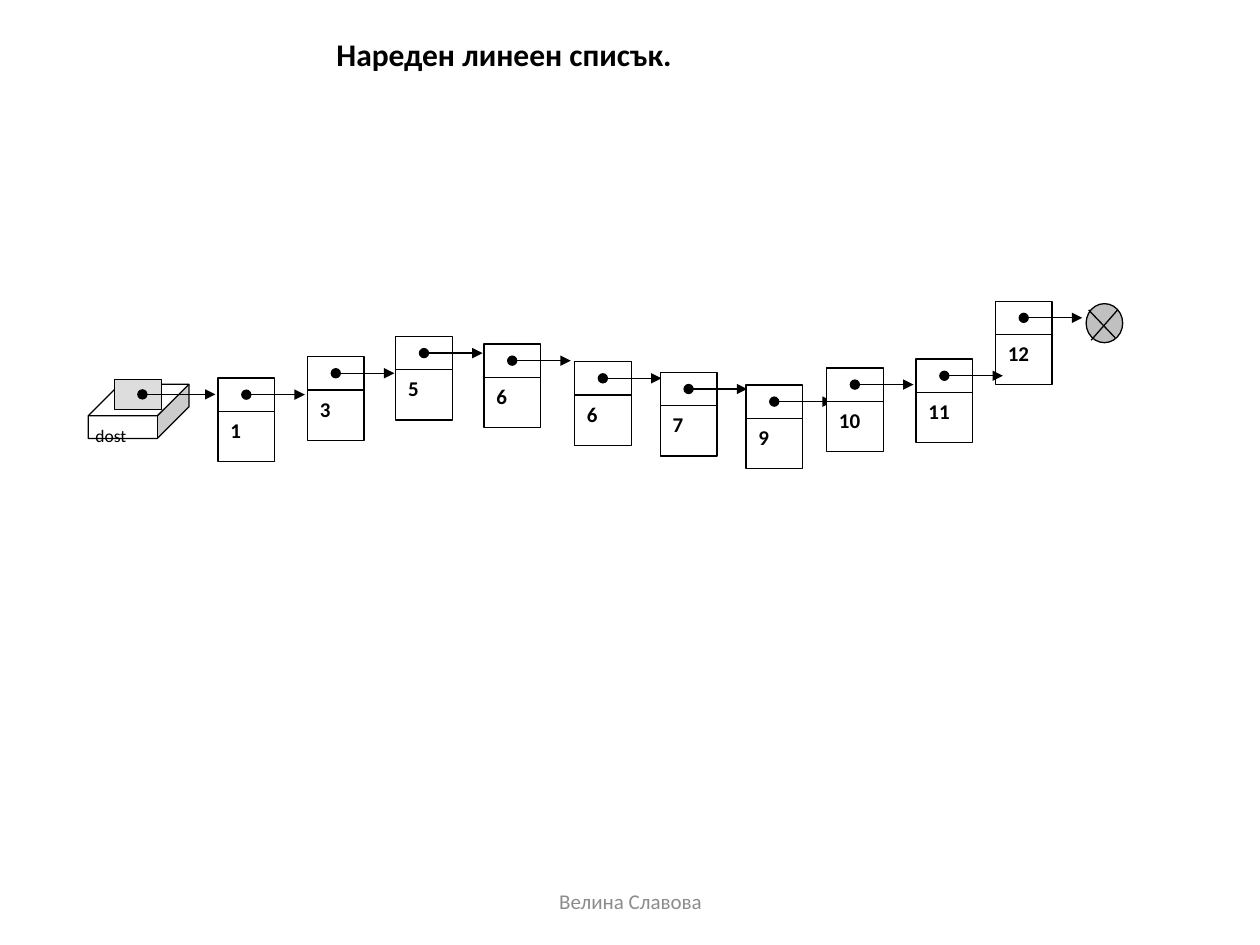
from typing import NamedTuple

from pptx import Presentation
from pptx.dml.color import RGBColor
from pptx.enum.shapes import MSO_CONNECTOR, MSO_SHAPE
from pptx.enum.text import MSO_ANCHOR, MSO_AUTO_SIZE, PP_ALIGN
from pptx.oxml.ns import qn
from pptx.util import Inches, Pt
from lxml import etree

RECT, CUBE, OVAL = MSO_SHAPE.RECTANGLE, MSO_SHAPE.CUBE, MSO_SHAPE.OVAL
LINE = MSO_CONNECTOR.STRAIGHT
TOP, MID = MSO_ANCHOR.TOP, MSO_ANCHOR.MIDDLE
LEFT, CENTER, FULL = PP_ALIGN.LEFT, PP_ALIGN.CENTER, PP_ALIGN.JUSTIFY
FIT = MSO_AUTO_SIZE.SHAPE_TO_FIT_TEXT

# The slide is a grid of 100 columns and 75 rows
COLS, ROWS = 100, 75
COLORS = {"ink": "000000", "paper": "FFFFFF", "slot": "DDDDDD",
          "nil": "C0C0C0", "foot": "8C8C8C"}
FONT = "Calibri"


class Node(NamedTuple):
    key: str
    col: float
    row: float


class Cross(NamedTuple):
    col: float
    row: float
    end_col: float
    end_row: float


# Node 12 lies behind the arrow that comes from node 11
NODES = [Node("1", 17.3, 30), Node("3", 24.4, 28.3), Node("5", 31.4, 26.7),
         Node("6", 38.4, 27.3), Node("6", 45.6, 28.7), Node("7", 52.4, 29.55),
         Node("9", 59.2, 30.55), Node("10", 65.6, 29.2),
         Node("12", 79, 23.9), Node("11", 72.7, 28.5)]
CROSS = [Cross(86.4, 24.6, 88.5, 26.8), Cross(86.6, 27, 88.7, 24.6)]
NODE_W, LINK_H, KEY_H = 4.5, 2.65, 4
ARROW_W = 4.65


def cell(count: float) -> int:
    return Inches(count / 10)


def color(name: str) -> RGBColor:
    return RGBColor.from_string(COLORS[name])


def write(shape, text: str, size: float = 12, bold: bool = False,
          tint: str = "ink", align=LEFT, anchor=TOP, wrap: bool = True,
          inset: float = 0.5) -> None:
    frame = shape.text_frame
    frame.word_wrap = wrap
    frame.vertical_anchor = anchor
    frame.margin_top = cell(inset)
    par = frame.paragraphs[0]
    par.alignment = align
    run = par.add_run()
    run.text = text
    font = run.font
    font.name, font.size, font.bold = FONT, Pt(size), bold
    font.color.rgb = color(tint)


def block(kind, col: float, row: float, wide: float, high: float,
          fill: str = "paper"):
    shape = shapes.add_shape(kind, cell(col), cell(row), cell(wide), cell(high))
    shape.shadow.inherit = False
    shape.fill.solid()
    shape.fill.fore_color.rgb = color(fill)
    shape.line.color.rgb = color("ink")
    shape.line.width = Pt(0.75)
    return shape


def label(col: float, row: float, wide: float, high: float, text: str,
          **form) -> None:
    box = shapes.add_textbox(cell(col), cell(row), cell(wide), cell(high))
    write(box, text, **form)


def stroke(col: float, row: float, end_col: float, end_row: float,
           arrow: bool = False) -> None:
    line = shapes.add_connector(LINE, cell(col), cell(row),
                                cell(end_col), cell(end_row))
    line.line.color.rgb = color("ink")
    line.line.width = Pt(0.75)
    props = line._element.spPr
    if arrow:
        pen = line.line._get_or_add_ln()
        etree.SubElement(pen, qn("a:headEnd"), type="oval")
        etree.SubElement(pen, qn("a:tailEnd"), type="triangle")
    etree.SubElement(props, qn("a:effectLst"))


def draw(node: Node) -> None:
    body = block(RECT, node.col, node.row + LINK_H, NODE_W, KEY_H)
    write(body, node.key, bold=True)
    block(RECT, node.col, node.row, NODE_W, LINK_H)
    start, mid = node.col + NODE_W / 2, node.row + LINK_H / 2
    stroke(start, mid, start + ARROW_W, mid, arrow=True)


deck = Presentation()
deck.slide_width, deck.slide_height = cell(COLS), cell(ROWS)
slide = deck.slides.add_slide(deck.slide_layouts[5])
shapes = slide.shapes

# Title
title = shapes.title
title.left, title.top = cell(25.7), cell(2.4)
title.width, title.height = cell(34.1), cell(3.7)
write(title, "Нареден линеен списък.", size=18, bold=True, align=FULL,
      anchor=MID, wrap=False)
title.text_frame.auto_size = FIT

# Head of the list
cube = block(CUBE, 7, 30.5, 8, 4.3)
cube.adjustments[0] = 0.583
block(RECT, 9.1, 30.1, 3.7, 2.4, fill="slot")
stroke(11.3, 31.3, 17.1, 31.3, arrow=True)
label(6.6, 31.5, 6.6, 3.9, "dost", size=10, inset=2.2)

# Nodes
for node in NODES:
    draw(node)

# End of the list
block(OVAL, 86.2, 24.1, 2.9, 3.1, fill="nil")
for cross in CROSS:
    stroke(*cross)

# Footer
label(34.2, 69.5, 31.7, 4, "Велина Славова", tint="foot", align=CENTER,
      anchor=MID)

deck.save("out.pptx")
